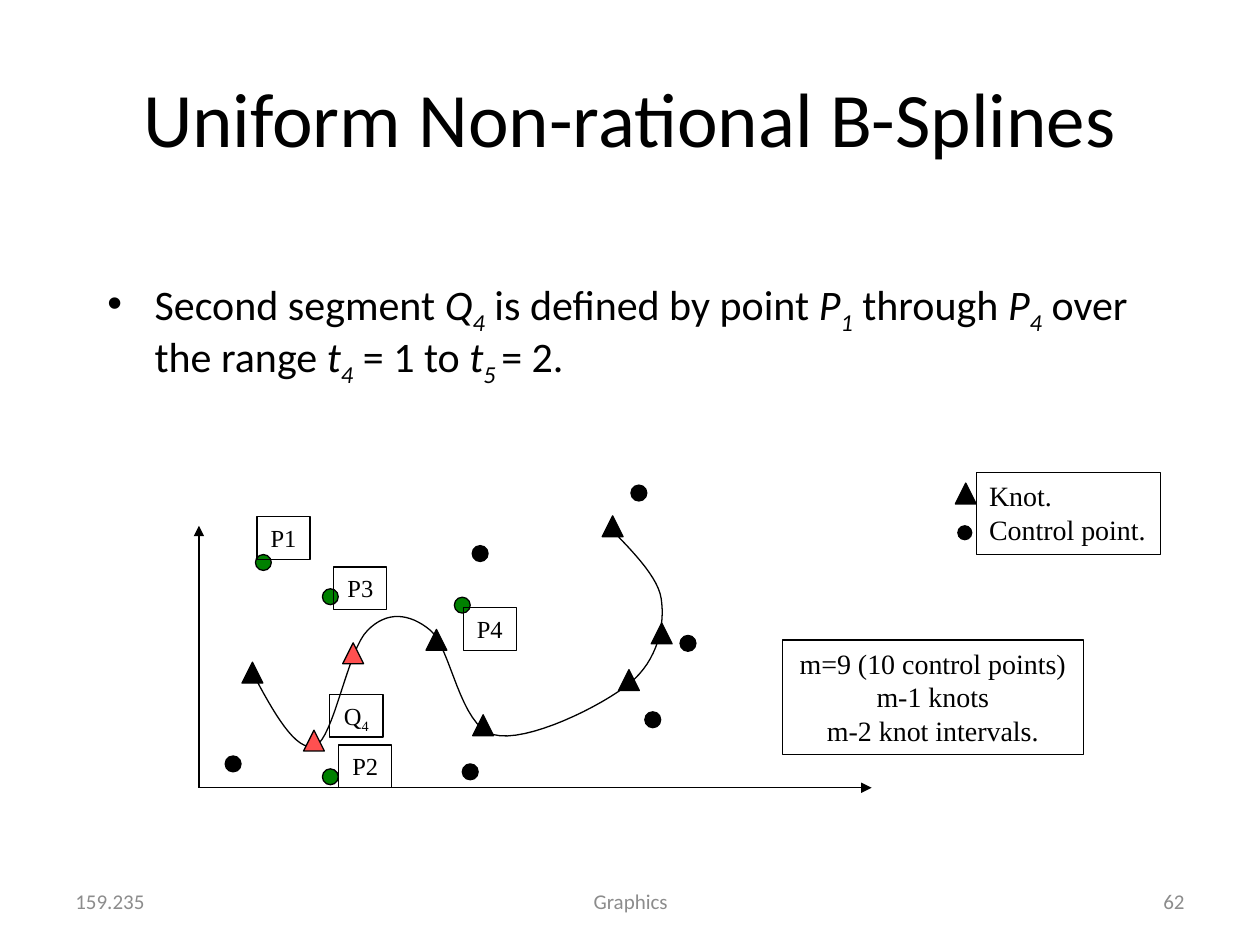
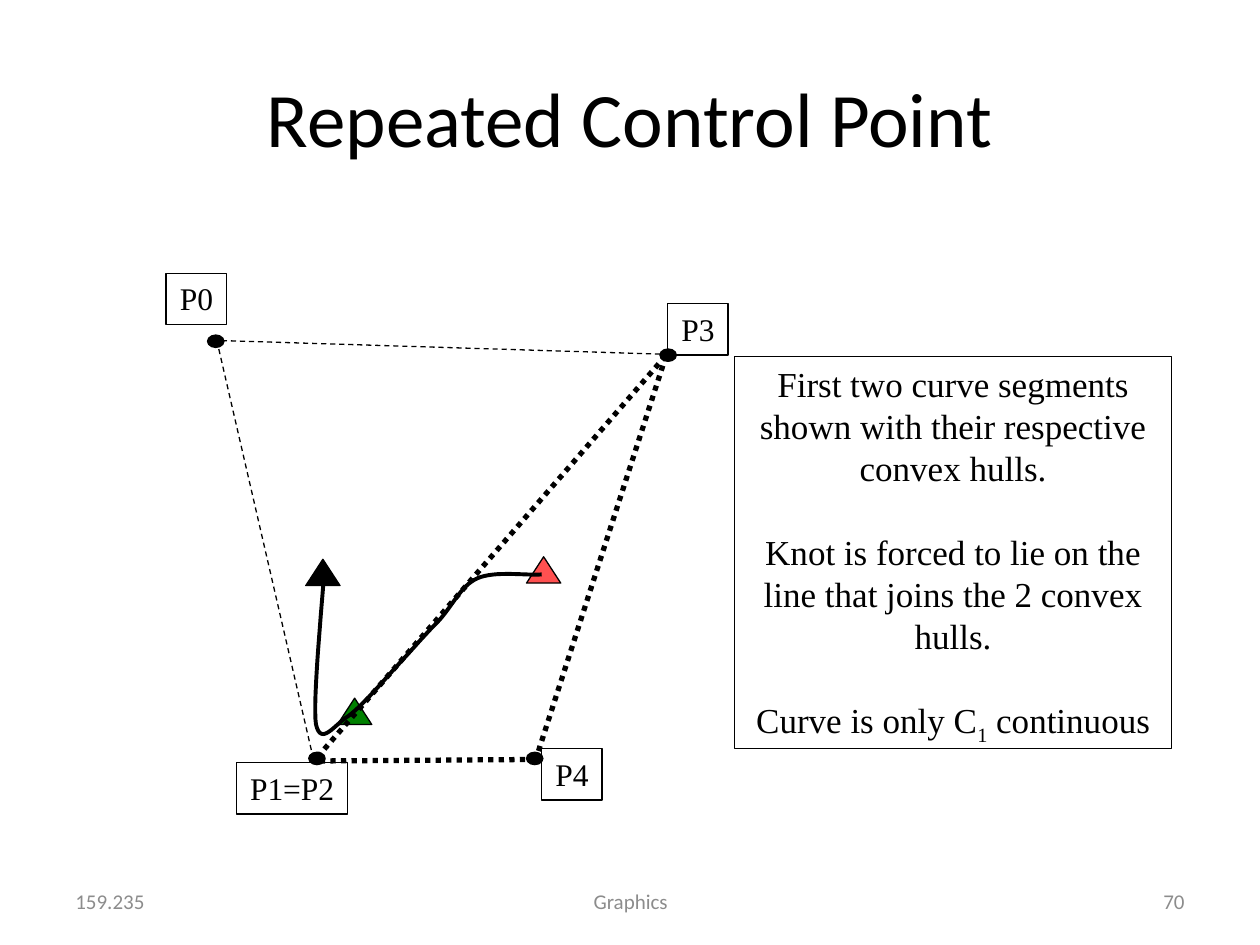
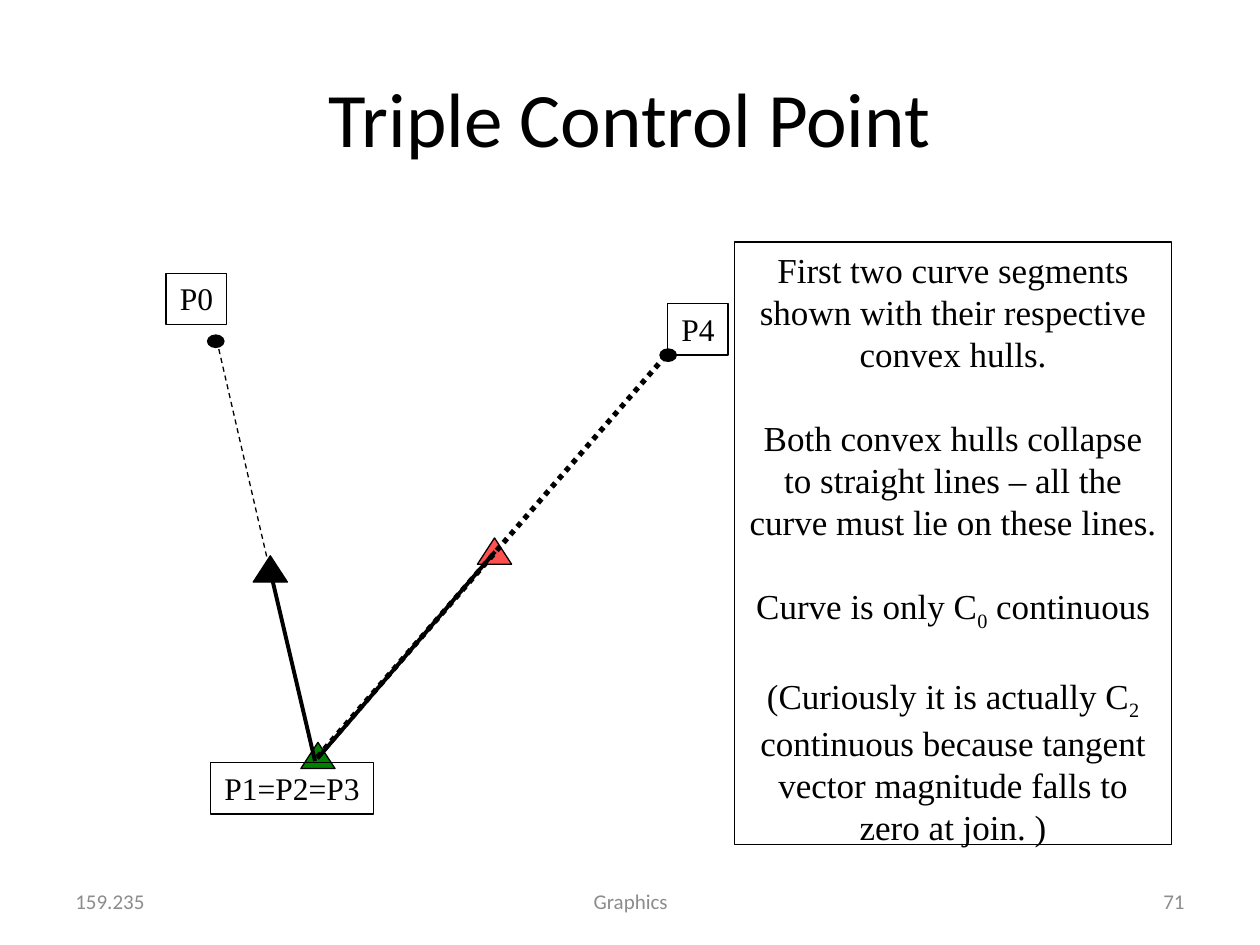
from dataclasses import dataclass

from lxml.etree import SubElement
from pptx import Presentation
from pptx.dml.color import RGBColor
from pptx.enum.dml import MSO_LINE_DASH_STYLE as Dash
from pptx.enum.shapes import MSO_CONNECTOR as Link, MSO_SHAPE as Preset
from pptx.enum.text import MSO_ANCHOR as Anchor, MSO_AUTO_SIZE as Fit, PP_ALIGN as Align
from pptx.oxml.ns import qn
from pptx.util import Cm, Pt

# Shared look
BLACK, GREEN, RED, GREY = "000000", "008000", "FF5050", "8C8C8C"
SANS, SERIF = "Calibri", "Times New Roman"
THIN, CURVE, THICK = 0.75, 2.25, 3
TITLE_BOX = (1.27, 0.76, 22.86, 3.18)
FOOTER_TOP, FOOTER_HEIGHT = 17.65, 1.02
HULL_ORIGIN = (3.35, 5.51)


def color(hex_code):
    return RGBColor.from_string(hex_code)


def write(paragraph, text, size, font=SERIF, ink=BLACK, align=Align.CENTER):
    """Write marked text: * toggles italics and _ toggles subscript."""
    paragraph.alignment = align
    italic = False
    for i, phrase in enumerate(text.split("*")):
        italic = i % 2 == 1
        for j, piece in enumerate(phrase.split("_")):
            if not piece:
                continue
            run = paragraph.add_run()
            run.text = piece
            run.font.size, run.font.name = Pt(size), font
            run.font.italic = italic
            run.font.color.rgb = color(ink)
            if j % 2:
                run.font._element.set("baseline", "-25000")


def place(shape, left, top, width, height):
    shape.left, shape.top = Cm(left), Cm(top)
    shape.width, shape.height = Cm(width), Cm(height)


def bezier(start, c1, c2, end, steps=16):
    """Points along one cubic segment, without its start."""
    for step in range(1, steps + 1):
        t = step / steps
        u = 1 - t
        yield tuple(u**3 * a + 3 * u * u * t * b + 3 * u * t * t * c + t**3 * d
                    for a, b, c, d in zip(start, c1, c2, end))


@dataclass
class Region:
    """Part of a slide; all positions are in cm from its top left corner."""
    slide: object
    left: float
    top: float

    def shape(self, preset, x, y, width, height, fill=None):
        shape = self.slide.shapes.add_shape(
            preset, Cm(self.left + x), Cm(self.top + y), Cm(width), Cm(height))
        shape.shadow.inherit = False
        shape.line.color.rgb, shape.line.width = color(BLACK), Pt(THIN)
        if fill:
            shape.fill.solid()
            shape.fill.fore_color.rgb = color(fill)
        else:
            shape.fill.background()
        return shape

    def mark(self, preset, center, size, fill=BLACK):
        (x, y), (width, height) = center, size
        self.shape(preset, x - width / 2, y - height / 2, width, height, fill)

    def framed_text(self, lines, x, y, width, height, size,
                    align=Align.CENTER, wrap=False, gap=0):
        frame = self.shape(Preset.RECTANGLE, x, y, width, height).text_frame
        frame.word_wrap, frame.auto_size = wrap, Fit.NONE
        frame.vertical_anchor = Anchor.TOP
        for i, text in enumerate(lines):
            paragraph = frame.add_paragraph() if i else frame.paragraphs[0]
            paragraph.space_before = Pt(gap if i else 0)
            write(paragraph, text, size, align=align)

    def line(self, start, end, weight=THIN, dash=None, arrow=False):
        (x1, y1), (x2, y2) = start, end
        link = self.slide.shapes.add_connector(
            Link.STRAIGHT, Cm(self.left + x1), Cm(self.top + y1),
            Cm(self.left + x2), Cm(self.top + y2))
        link.line.color.rgb, link.line.width = color(BLACK), Pt(weight)
        if dash:
            link.line.dash_style = dash
        if arrow:
            SubElement(link.line._get_or_add_ln(), qn("a:tailEnd"), type="triangle")
        SubElement(link._element.spPr, qn("a:effectLst"))

    def curve(self, points, weight):
        track = [points[0]]
        for i in range(0, len(points) - 1, 3):
            track.extend(bezier(*points[i:i + 4]))
        track = [(Cm(self.left + x), Cm(self.top + y)) for x, y in track]
        builder = self.slide.shapes.build_freeform(*track[0])
        builder.add_line_segments(track[1:], close=False)
        path = builder.convert_to_shape()
        path.shadow.inherit = False
        path.fill.background()
        path.line.color.rgb, path.line.width = color(BLACK), Pt(weight)


# Title and footers
def add_slide(deck, layout, title, number):
    slide = deck.slides.add_slide(deck.slide_layouts.get_by_name(layout))
    heading = slide.shapes.title
    place(heading, *TITLE_BOX)
    heading.text_frame.vertical_anchor = Anchor.MIDDLE
    write(heading.text_frame.paragraphs[0], title, 44, SANS)
    footers = [(1.27, 5.92, "159.235", Align.LEFT),
               (8.69, 8.05, "Graphics", Align.CENTER),
               (18.21, 5.92, str(number), Align.RIGHT)]
    for left, width, text, align in footers:
        footer = slide.shapes.add_textbox(
            Cm(left), Cm(FOOTER_TOP), Cm(width), Cm(FOOTER_HEIGHT)).text_frame
        footer.word_wrap, footer.vertical_anchor = True, Anchor.MIDDLE
        write(footer.paragraphs[0], text, 12, SANS, GREY, align)
    return slide


# Spline slide
KNOT_SIZE, POINT_SIZE = (0.42, 0.42), (0.32, 0.32)


def definition(slide, box):
    body = slide.placeholders[1]
    place(body, *box)
    body.text_frame.auto_size = Fit.NONE
    paragraph = body.text_frame.paragraphs[0]
    paragraph.line_spacing = 0.9
    write(paragraph, "Second segment *Q_4_* is defined by point *P_1_* through *P_4_* "
          "over the range *t_4_* = 1 to *t_5 _*= 2.", 24, SANS, align=Align.LEFT)


def spline_plot(plot):
    origin = (0, 6.35)
    for axis_end in ((0, 1.07), (13.56, 6.35)):
        plot.line(origin, axis_end, arrow=True)
    plot.curve([
        (1.07, 4.01), (1.5, 4.83), (1.96, 5.64), (2.34, 5.51),
        (2.72, 5.36), (3, 3.56), (3.4, 3.18),
        (3.78, 2.79), (4.24, 2.82), (4.67, 3.18),
        (5.08, 3.53), (5.26, 5.11), (5.94, 5.28),
        (6.6, 5.46), (8.13, 4.7), (8.69, 4.24),
        (9.25, 3.78), (9.4, 3.07), (9.32, 2.54),
        (9.25, 2.01), (8.43, 1.3), (8.26, 1.07)], THIN)
    knots = {
        BLACK: [(9.33, 3.24), (8.67, 4.18), (5.73, 5.09), (4.79, 3.37),
                (1.08, 4.03), (8.34, 1.08)],
        RED: [(3.11, 3.64), (2.32, 5.4)]}
    control_points = {
        BLACK: [(5.47, 6.03), (5.67, 1.63), (0.69, 5.87), (8.87, 0.41),
                (9.86, 3.44), (9.15, 4.98)],
        GREEN: [(2.65, 2.5), (2.65, 6.13), (1.3, 1.81), (5.31, 2.67)]}
    for preset, size, groups in ((Preset.ISOSCELES_TRIANGLE, KNOT_SIZE, knots),
                                 (Preset.OVAL, POINT_SIZE, control_points)):
        for fill, centers in groups.items():
            for center in centers:
                plot.mark(preset, center, size, fill)
    labels = {"Q_4_": (2.64, 4.47), "P1": (1.17, 0.89), "P3": (2.72, 1.9),
              "P4": (5.33, 2.72), "P2": (2.82, 5.49)}
    for text, (x, y) in labels.items():
        plot.framed_text([text], x, y, 1.07, 0.86, 14)


def legend(key):
    key.framed_text(["Knot.", "Control point."], 0, 0, 3.71, 1.65, 16, Align.LEFT)
    key.mark(Preset.ISOSCELES_TRIANGLE, (-0.22, 0.42), KNOT_SIZE)
    key.mark(Preset.OVAL, (-0.24, 1.21), (0.28, 0.28))


def spline_slide(deck):
    slide = add_slide(deck, "Title and Content", "Uniform Non-rational B-Splines", 62)
    definition(slide, (1.91, 5.51, 21.59, 4.37))
    spline_plot(Region(slide, 4.01, 9.53))
    legend(Region(slide, 19.69, 9.53))
    Region(slide, 15.77, 12.9).framed_text(
        ["m=9 (10 control points)", "m-1 knots", "m-2 knot intervals."],
        0, 0, 6.07, 2.31, 16)


# Convex hull slides
JOIN, FIRST, FAR, LOWER = (3.04, 9.78), (1, 1.37), (10.12, 1.65), (7.43, 9.78)


def hull_base(hull, join_label, join_width, far_label, knots):
    """Parts that both hull diagrams have: P0, the joined points, the far point."""
    for center in (JOIN, FIRST, FAR):
        hull.mark(Preset.OVAL, center, (0.33, 0.25))
    hull.line((1.02, 1.35), (2.97, 9.8), dash=Dash.DASH)
    for center, fill in zip(knots, (BLACK, GREEN, RED)):
        hull.mark(Preset.ISOSCELES_TRIANGLE, center, (0.69, 0.53), fill)
    hull.line((3.05, 9.75), (10.08, 1.65), THICK, Dash.ROUND_DOT)
    point_label(hull, "P0", 0, 0)
    point_label(hull, far_label, 10.11, 0.61)
    point_label(hull, join_label, 2.54 - join_width / 2, 9.86, join_width)


def point_label(hull, text, x, y, width=1.22):
    hull.framed_text([text], x, y, width, 1.04, 18)


def commentary(slide, top, height, remarks):
    Region(slide, 14.81, top).framed_text(
        ["First two curve segments shown with their respective convex hulls."] + remarks,
        0, 0, 8.81, height, 20, wrap=True, gap=24)


def repeated_point_slide(deck):
    slide = add_slide(deck, "Title Only", "Repeated Control Point", 70)
    commentary(slide, 7.19, 7.9, [
        "Knot is forced to lie on the line that joins the 2 convex hulls.",
        "Curve is only C_1_ continuous"])
    hull = Region(slide, *HULL_ORIGIN)
    hull_base(hull, "P1=P2", 2.24, "P3", [(3.16, 6.03), (3.8, 8.83), (7.61, 5.98)])
    hull.mark(Preset.OVAL, LOWER, (0.33, 0.25))
    point_label(hull, "P4", 7.57, 9.58)
    hull.line((0.94, 1.35), (10.01, 1.63), dash=Dash.DASH)
    hull.line((3.1, 9.83), (7.44, 9.8), THICK, Dash.ROUND_DOT)
    hull.line((7.44, 9.83), (10.08, 1.65), THICK, Dash.ROUND_DOT)
    hull.curve([
        (3.18, 6.1), (3.15, 6.6), (2.95, 8.64), (3.02, 9.09),
        (3.12, 9.55), (3.4, 9.09), (3.68, 8.92),
        (3.96, 8.71), (4.34, 8.26), (4.65, 7.92),
        (4.93, 7.62), (5.21, 7.29), (5.49, 7.01),
        (5.77, 6.71), (5.94, 6.3), (6.27, 6.15),
        (6.63, 5.99), (7.29, 6.1), (7.57, 6.07)], CURVE)


def triple_point_slide(deck):
    slide = add_slide(deck, "Title Only", "Triple Control Point", 71)
    commentary(slide, 4.88, 12.14, [
        "Both convex hulls collapse to straight lines – all the curve must lie "
        "on these lines.",
        "Curve is only C_0_ continuous",
        "(Curiously it is actually C_2_ continuous because tangent vector magnitude "
        "falls to zero at join. )"])
    hull = Region(slide, *HULL_ORIGIN)
    hull_base(hull, "P1=P2=P3", 3.28, "P4", [(2.1, 5.96), (3.06, 9.72), (6.62, 5.6)])
    hull.line((6.63, 5.61), (3.05, 9.78), CURVE)
    hull.line((2.11, 6.05), (3, 9.83), CURVE)


def main():
    deck = Presentation()
    deck.slide_width, deck.slide_height = Cm(25.4), Cm(19.05)
    spline_slide(deck)
    repeated_point_slide(deck)
    triple_point_slide(deck)
    deck.save("out.pptx")


if __name__ == "__main__":
    main()
